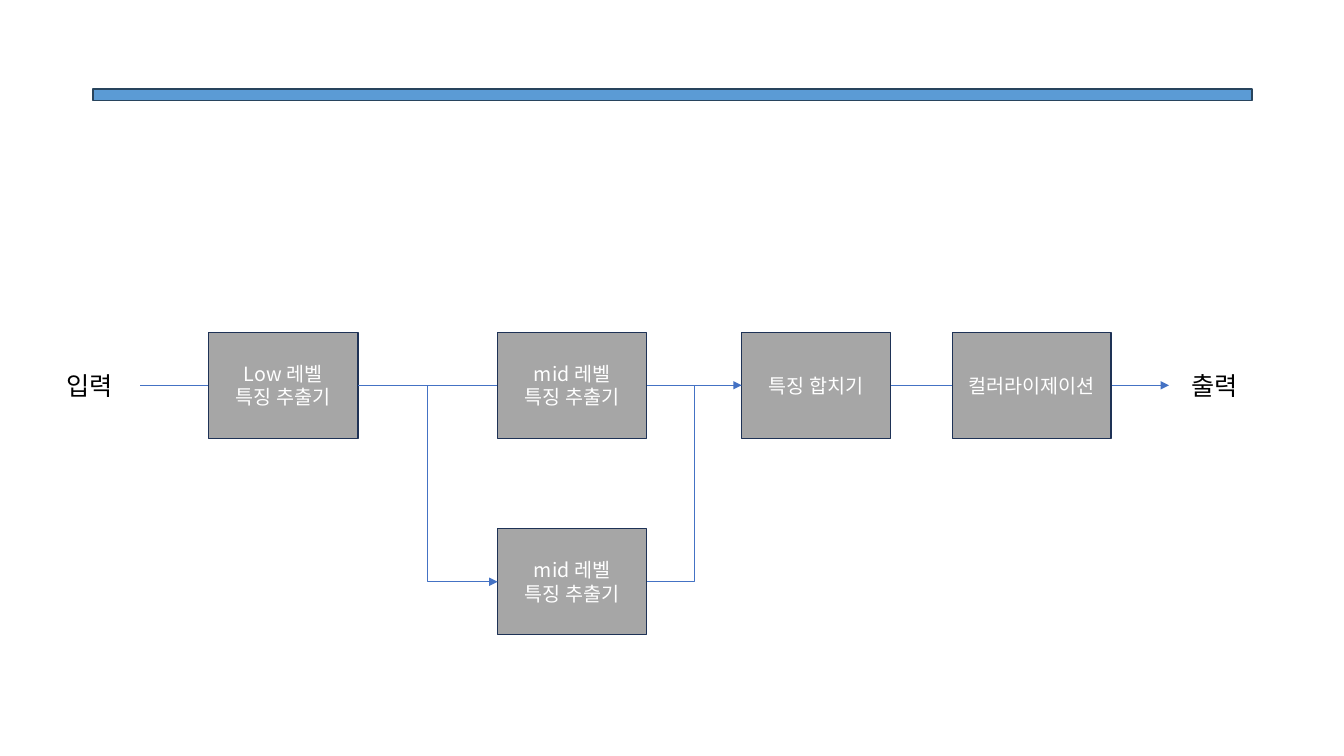
from dataclasses import dataclass

from lxml.etree import SubElement
from pptx import Presentation
from pptx.dml.color import RGBColor
from pptx.enum.shapes import MSO_CONNECTOR as Link, MSO_SHAPE as Shape
from pptx.enum.text import MSO_ANCHOR as Anchor, MSO_AUTO_SIZE as AutoSize, PP_ALIGN as Align
from pptx.oxml.ns import qn
from pptx.util import Cm, Pt


@dataclass(frozen=True)
class Theme:
    font: str = "Noto Sans CJK KR"
    bar: str = "5B9BD5"
    bar_edge: str = "28445D"
    stage: str = "A6A6A6"
    stage_edge: str = "1E3256"
    flow: str = "4472C4"
    stage_text: str = "FFFFFF"
    label_text: str = "000000"
    stage_size: int = 14
    label_size: int = 18
    edge_width: float = 1
    flow_width: float = 0.5


THEME = Theme()
MAIN_Y, BRANCH_Y = 9.71, 14.66
STAGE_WIDTH, STAGE_HEIGHT = 3.76, 2.67
RIGHT_SITE, LEFT_SITE = 3, 1


def write(frame, text, *, size, color, align=Align.LEFT, anchor=Anchor.TOP):
    """Fill a text frame, one paragraph for each line of text."""
    frame.text = text
    frame.vertical_anchor = anchor
    for paragraph in frame.paragraphs:
        paragraph.alignment = align
        for run in paragraph.runs:
            run.font.name = THEME.font
            run.font.size = Pt(size)
            run.font.color.rgb = RGBColor.from_string(color)
            east_asian = SubElement(run.font._element, qn("a:ea"))
            east_asian.set("typeface", THEME.font)


def add_box(slide, left, top, width, height, fill, edge):
    box = slide.shapes.add_shape(Shape.RECTANGLE, Cm(left), Cm(top), Cm(width), Cm(height))
    box.shadow.inherit = False
    box.fill.solid()
    box.fill.fore_color.rgb = RGBColor.from_string(fill)
    box.line.color.rgb = RGBColor.from_string(edge)
    box.line.width = Pt(THEME.edge_width)
    return box


def add_stage(slide, text, left, center_y, width=STAGE_WIDTH):
    stage = add_box(slide, left, center_y - STAGE_HEIGHT / 2, width, STAGE_HEIGHT,
                    THEME.stage, THEME.stage_edge)
    write(stage.text_frame, text, size=THEME.stage_size, color=THEME.stage_text,
          align=Align.CENTER, anchor=Anchor.MIDDLE)
    return stage


def add_label(slide, text, left):
    height = 1.02
    label = slide.shapes.add_textbox(Cm(left), Cm(MAIN_Y - height / 2), Cm(1.8), Cm(height))
    label.text_frame.word_wrap = False
    label.text_frame.auto_size = AutoSize.SHAPE_TO_FIT_TEXT
    write(label.text_frame, text, size=THEME.label_size, color=THEME.label_text)


def add_arrow(slide, kind, start, end):
    arrow = slide.shapes.add_connector(kind, *start, *end)
    arrow.line.color.rgb = RGBColor.from_string(THEME.flow)
    arrow.line.width = Pt(THEME.flow_width)
    SubElement(arrow.line._get_or_add_ln(), qn("a:tailEnd")).set("type", "triangle")
    SubElement(arrow._element.spPr, qn("a:effectLst"))
    return arrow


def add_branch(slide, source, target):
    """Join the right side of source to the left side of target with an elbow."""
    start = source.left + source.width, source.top + source.height // 2
    end = target.left, target.top + target.height // 2
    branch = add_arrow(slide, Link.ELBOW, start, end)
    branch.begin_connect(source, RIGHT_SITE)
    branch.end_connect(target, LEFT_SITE)


def main():
    deck = Presentation()
    deck.slide_width, deck.slide_height = Cm(33.87), Cm(19.05)
    slide = deck.slides.add_slide(deck.slide_layouts[6])

    add_box(slide, 2.34, 2.24, 29.21, 0.3, THEME.bar, THEME.bar_edge)
    add_arrow(slide, Link.STRAIGHT, (Cm(3.53), Cm(MAIN_Y)), (Cm(29.46), Cm(MAIN_Y)))
    add_label(slide, "입력", 1.42)
    add_label(slide, "출력", 29.77)

    low = add_stage(slide, "Low 레벨\n특징 추출기", 5.26, MAIN_Y)
    add_stage(slide, "mid 레벨\n특징 추출기", 12.54, MAIN_Y)
    side = add_stage(slide, "mid 레벨\n특징 추출기", 12.54, BRANCH_Y)
    merger = add_stage(slide, "특징 합치기", 18.69, MAIN_Y)
    add_stage(slide, "컬러라이제이션", 24, MAIN_Y, width=4)
    add_branch(slide, low, side)
    add_branch(slide, side, merger)

    deck.save("out.pptx")


if __name__ == "__main__":
    main()
